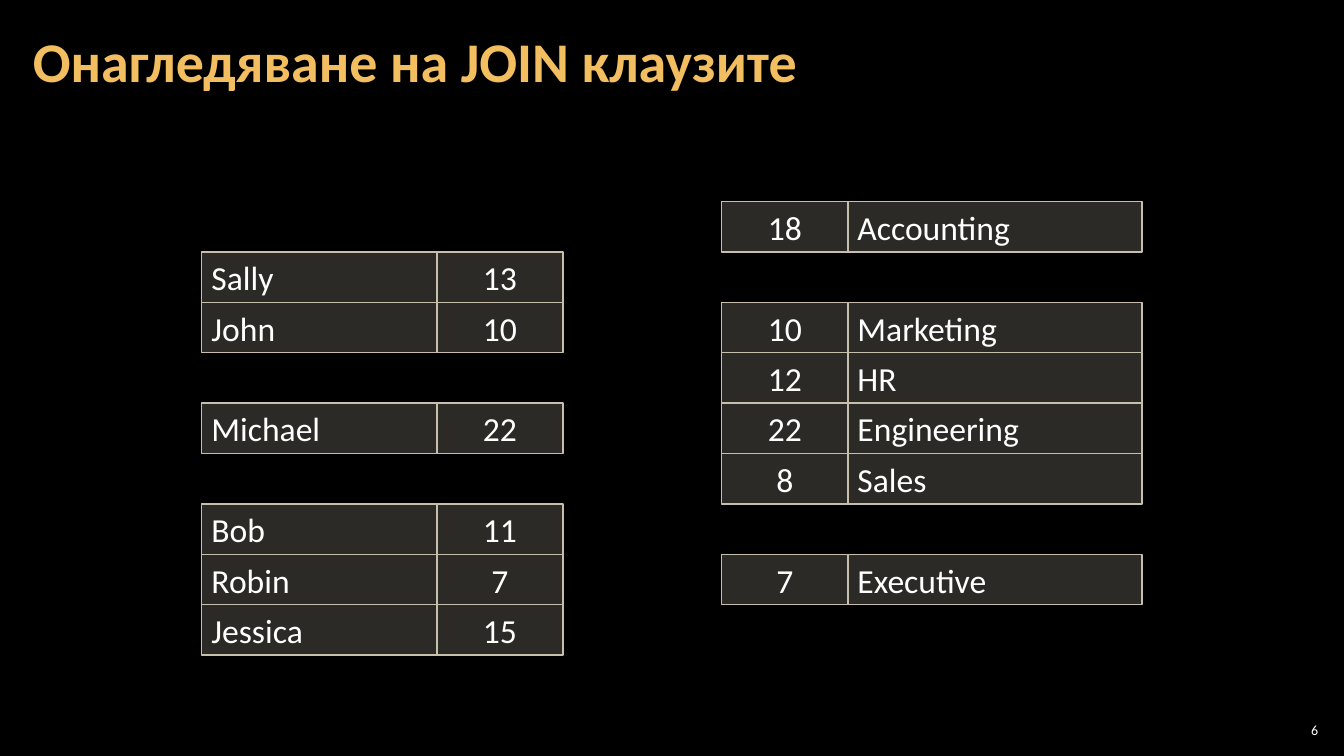
"""Builds a slide that shows two lists of rows lined up for a JOIN."""
from dataclasses import dataclass

from lxml.etree import SubElement
from pptx import Presentation
from pptx.dml.color import RGBColor
from pptx.enum.shapes import MSO_SHAPE
from pptx.enum.text import MSO_ANCHOR, PP_ALIGN
from pptx.oxml.ns import qn
from pptx.shapes.autoshape import Shape
from pptx.shapes.shapetree import GroupShapes
from pptx.slide import Slide
from pptx.util import Cm, Pt


@dataclass(frozen=True)
class Theme:
    """Colours and type sizes of the slide."""
    font: str = "Calibri"
    back: str = "000000"
    gold: str = "F3BE60"
    white: str = "FFFFFF"
    fill: str = "D9D5C7"
    edge: str = "C7BFAC"
    alpha: int = 20
    head: int = 40
    body: int = 24
    small: int = 10


@dataclass(frozen=True)
class Box:
    """A frame in centimetres."""
    left: float
    top: float
    width: float
    height: float


@dataclass(frozen=True)
class Row:
    """A name and its key, placed on a numbered line of the grid."""
    line: int
    name: str
    key: str


@dataclass(frozen=True)
class Side:
    """A list of rows and the columns they fill."""
    name_left: float
    name_width: float
    key_left: float
    rows: tuple[Row, ...]


THEME = Theme()
TOP, STEP, KEY_WIDTH = 5.08, 1.27, 3.18
SIDES = (
    Side(5.08, 5.93, 11.01, (
        Row(1, "Sally", "13"),
        Row(2, "John", "10"),
        Row(4, "Michael", "22"),
        Row(6, "Bob", "11"),
        Row(7, "Robin", "7"),
        Row(8, "Jessica", "15"),
    )),
    Side(21.36, 7.42, 18.19, (
        Row(0, "Accounting", "18"),
        Row(2, "Marketing", "10"),
        Row(3, "HR", "12"),
        Row(4, "Engineering", "22"),
        Row(5, "Sales", "8"),
        Row(7, "Executive", "7"),
    )),
)


def write(shape: Shape, text: str, size: int, align: PP_ALIGN,
          color: str = THEME.white, bold: bool = False) -> None:
    """Put one styled line of text in a shape."""
    frame = shape.text_frame
    frame.word_wrap = True
    frame.vertical_anchor = MSO_ANCHOR.MIDDLE
    para = frame.paragraphs[0]
    para.text = text
    para.alignment = align
    para.font.name = THEME.font
    para.font.size = Pt(size)
    para.font.bold = bold
    para.font.color.rgb = RGBColor.from_string(color)


def add_cell(shapes: GroupShapes, box: Box, text: str, align: PP_ALIGN) -> None:
    """Draw one see-through cell."""
    cell = shapes.add_shape(MSO_SHAPE.RECTANGLE, Cm(box.left), Cm(box.top),
                            Cm(box.width), Cm(box.height))
    cell.shadow.inherit = False
    cell.fill.solid()
    cell.fill.fore_color.rgb = RGBColor.from_string(THEME.fill)
    tint = cell.fill._xPr.find(qn("a:solidFill"))[0]
    SubElement(tint, qn("a:alpha"), val=str(THEME.alpha * 1000))
    cell.line.color.rgb = RGBColor.from_string(THEME.edge)
    cell.line.width = Pt(1)
    write(cell, text, THEME.body, align)


def add_side(slide: Slide, side: Side) -> None:
    """Draw each row of a list as a group of two cells."""
    for row in side.rows:
        shapes = slide.shapes.add_group_shape().shapes
        top = TOP + row.line * STEP
        add_cell(shapes, Box(side.name_left, top, side.name_width, STEP),
                 row.name, PP_ALIGN.LEFT)
        add_cell(shapes, Box(side.key_left, top, KEY_WIDTH, STEP),
                 row.key, PP_ALIGN.CENTER)


def add_label(slide: Slide, box: Box, pad: float) -> Shape:
    """Add an empty text box with the given side padding."""
    label = slide.shapes.add_textbox(Cm(box.left), Cm(box.top),
                                     Cm(box.width), Cm(box.height))
    frame = label.text_frame
    frame.margin_left = frame.margin_right = Cm(pad)
    frame.margin_top = frame.margin_bottom = Cm(0.1)
    return label


def main() -> None:
    """Build and save the slide."""
    deck = Presentation()
    deck.slide_width, deck.slide_height = Cm(33.87), Cm(19.05)
    slide = deck.slides.add_slide(deck.slide_layouts[6])
    slide.background.fill.solid()
    slide.background.fill.fore_color.rgb = RGBColor.from_string(THEME.back)

    title = add_label(slide, Box(0.53, 0.1, 32.79, 3.07), 0.3)
    write(title, "Онагледяване на JOIN клаузите", THEME.head, PP_ALIGN.LEFT,
          THEME.gold, True)
    title.text_frame.paragraphs[0].line_spacing = 0.9
    for side in SIDES:
        add_side(slide, side)
    number = add_label(slide, Box(32.13, 18.14, 1.19, 0.53), 0.1)
    write(number, "6", THEME.small, PP_ALIGN.RIGHT)
    deck.save("out.pptx")


if __name__ == "__main__":
    main()
